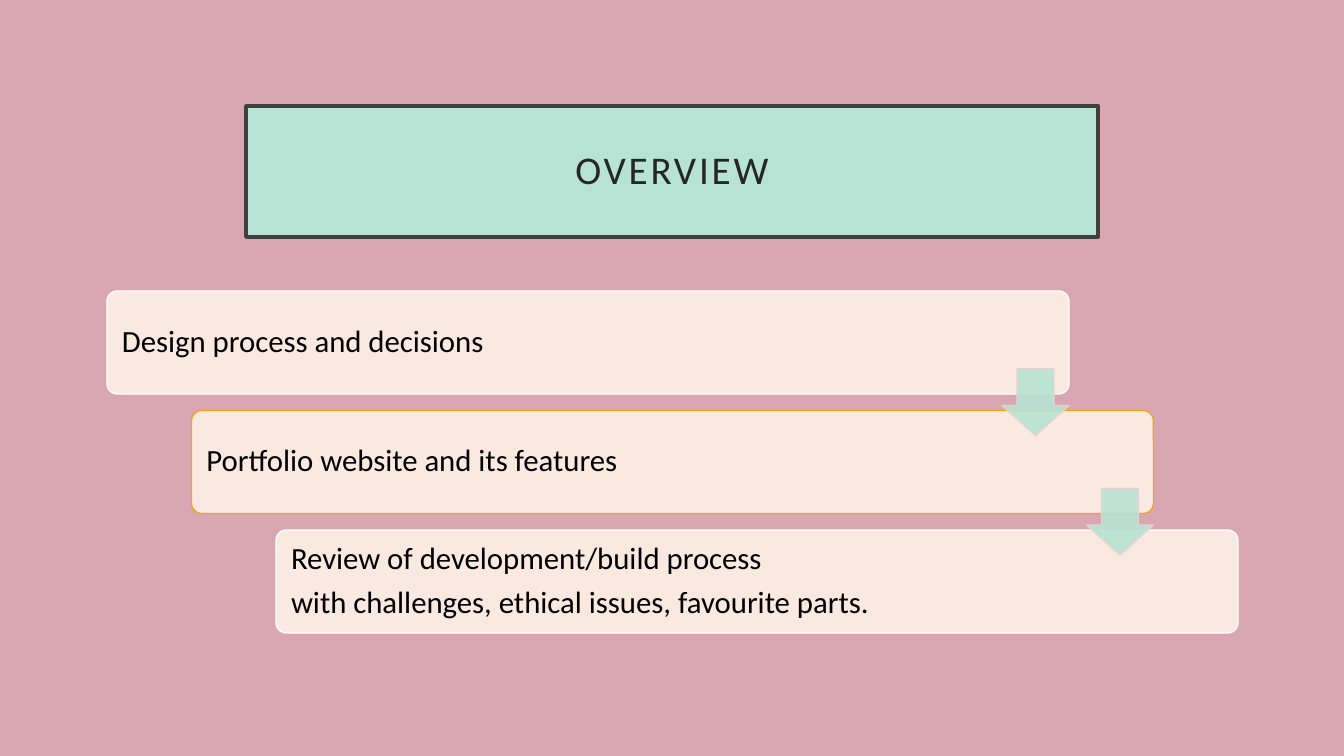
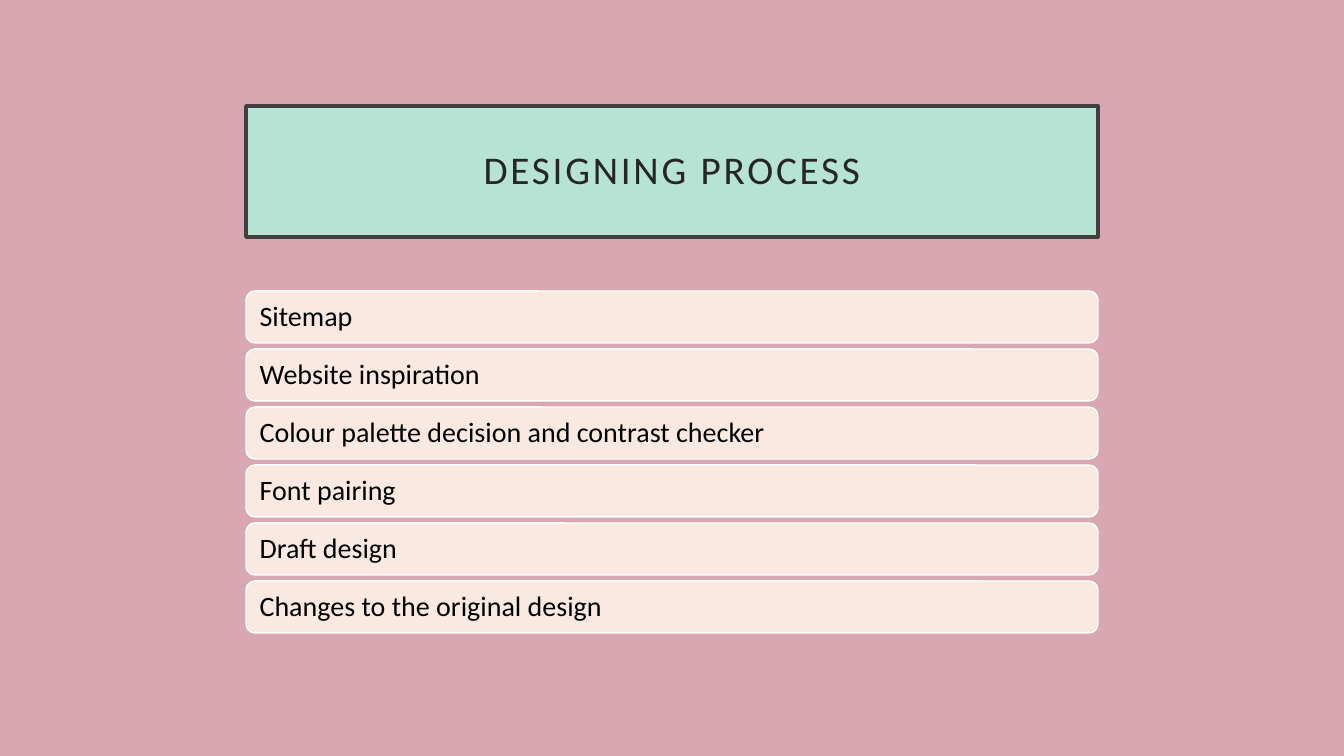
import pptx
import pptx.dml.color
import pptx.enum.shapes
import pptx.enum.text
import pptx.util
import lxml.etree

PX = 12192000 / 1344
SLIDE_SIZE = (1344, 756)
FONT = "Calibri"
COLORS = {
    "background": "D9A7B1",
    "mint": "B6E3D3",
    "cream": "FAE9E0",
    "title line": "404040",
    "title text": "262626",
    "card text": "000000",
    "white": "FFFFFF",
    "orange": "F6A21D",
    "arrow line": "EBD3CE",
}
TITLE = {"box": (246, 106, 852, 131), "size": 28, "inset": 20, "spacing": 200}
STACK_TOP, STACK_BOTTOM = 291, 633
ARROW = {"size": 67, "adjust": (0.55, 0.45), "opacity": 90}

SLIDES = [
    {
        "title": "OVERVIEW",
        "cards": [
            (["Design process and decisions"], "white"),
            (["Portfolio website and its features"], "orange"),
            (["Review of development/build process",
              "with challenges, ethical issues, favourite parts."], "white"),
        ],
        "left": 107, "right": 1238, "width": 962, "height": 103,
        "size": 22, "inset": 12, "corner": 0.1, "arrows": True,
    },
    {
        "title": "DESIGNING PROCESS",
        "cards": [([text], "white") for text in (
            "Sitemap",
            "Website inspiration",
            "Colour palette decision and contrast checker",
            "Font pairing",
            "Draft design",
            "Changes to the original design",
        )],
        "left": 246, "right": 1098, "width": 852, "height": 52,
        "size": 20, "inset": 11, "corner": 0.17, "arrows": False,
    },
]

SHAPES = pptx.enum.shapes.MSO_SHAPE
ALIGN = pptx.enum.text.PP_ALIGN


def px(length):
    return pptx.util.Emu(round(length * PX))


def rgb(name):
    return pptx.dml.color.RGBColor.from_string(COLORS[name])


def add_shape(page, kind, box, fill, line, line_width=1, adjust=()):
    shape = page.shapes.add_shape(kind, *map(px, box))
    shape.shadow.inherit = False
    shape.fill.solid()
    shape.fill.fore_color.rgb = rgb(fill)
    shape.line.color.rgb = rgb(line)
    shape.line.width = pptx.util.Pt(line_width)
    for index, value in enumerate(adjust):
        shape.adjustments[index] = value
    return shape


def write(shape, lines, size, color, inset, align):
    frame = shape.text_frame
    frame_format = {
        "word_wrap": True,
        "vertical_anchor": pptx.enum.text.MSO_ANCHOR.MIDDLE,
        **{f"margin_{side}": px(inset) for side in ("left", "right", "top", "bottom")},
    }
    for name, value in frame_format.items():
        setattr(frame, name, value)
    for index, line in enumerate(lines):
        para = frame.add_paragraph() if index else frame.paragraphs[0]
        para.alignment = align
        para.line_spacing = 0.9
        para.space_after = pptx.util.Pt(size * 0.35)
        span = para.add_run()
        span.text = line
        span.font.name = FONT
        span.font.size = pptx.util.Pt(size)
        span.font.color.rgb = rgb(color)


def set_opacity(shape, percent):
    """Make the fill and the line of a shape partly transparent."""
    namespace = pptx.oxml.ns.nsdecls("a").split('"')[1]
    for color in shape.element.spPr.iter(f"{{{namespace}}}srgbClr"):
        alpha = lxml.etree.SubElement(color, f"{{{namespace}}}alpha")
        alpha.set("val", str(percent * 1000))


def add_title(page, text):
    shape = add_shape(page, SHAPES.RECTANGLE, TITLE["box"], "mint", "title line", 2.5)
    write(shape, [text], TITLE["size"], "title text", TITLE["inset"], ALIGN.CENTER)
    span = shape.text_frame.paragraphs[0].runs[0]
    span.font._element.set("spc", str(TITLE["spacing"]))


def add_cards(page, content):
    """Spread the cards evenly between the corners of the stack, then add arrows."""
    cards = content["cards"]
    width, height = content["width"], content["height"]
    steps = len(cards) - 1
    step_x = (content["right"] - content["left"] - width) / steps
    step_y = (STACK_BOTTOM - STACK_TOP - height) / steps
    corners = [(content["left"] + i * step_x, STACK_TOP + i * step_y)
               for i in range(len(cards))]
    for (left, top), (lines, outline) in zip(corners, cards):
        card = add_shape(page, SHAPES.ROUNDED_RECTANGLE, (left, top, width, height),
                         "cream", outline, adjust=[content["corner"]])
        write(card, lines, content["size"], "card text", content["inset"], ALIGN.LEFT)
    if content["arrows"]:
        size = ARROW["size"]
        for left, top in corners[:-1]:
            gap_middle = top + (height + step_y) / 2
            box = (left + width - size, gap_middle - size / 2, size, size)
            arrow = add_shape(page, SHAPES.DOWN_ARROW, box, "mint", "arrow line",
                              adjust=ARROW["adjust"])
            set_opacity(arrow, ARROW["opacity"])


def main():
    deck = pptx.Presentation()
    deck.slide_width, deck.slide_height = map(px, SLIDE_SIZE)
    for content in SLIDES:
        page = deck.slides.add_slide(deck.slide_layouts[6])
        page.background.fill.solid()
        page.background.fill.fore_color.rgb = rgb("background")
        add_title(page, content["title"])
        add_cards(page, content)
    deck.save("out.pptx")


if __name__ == "__main__":
    main()
